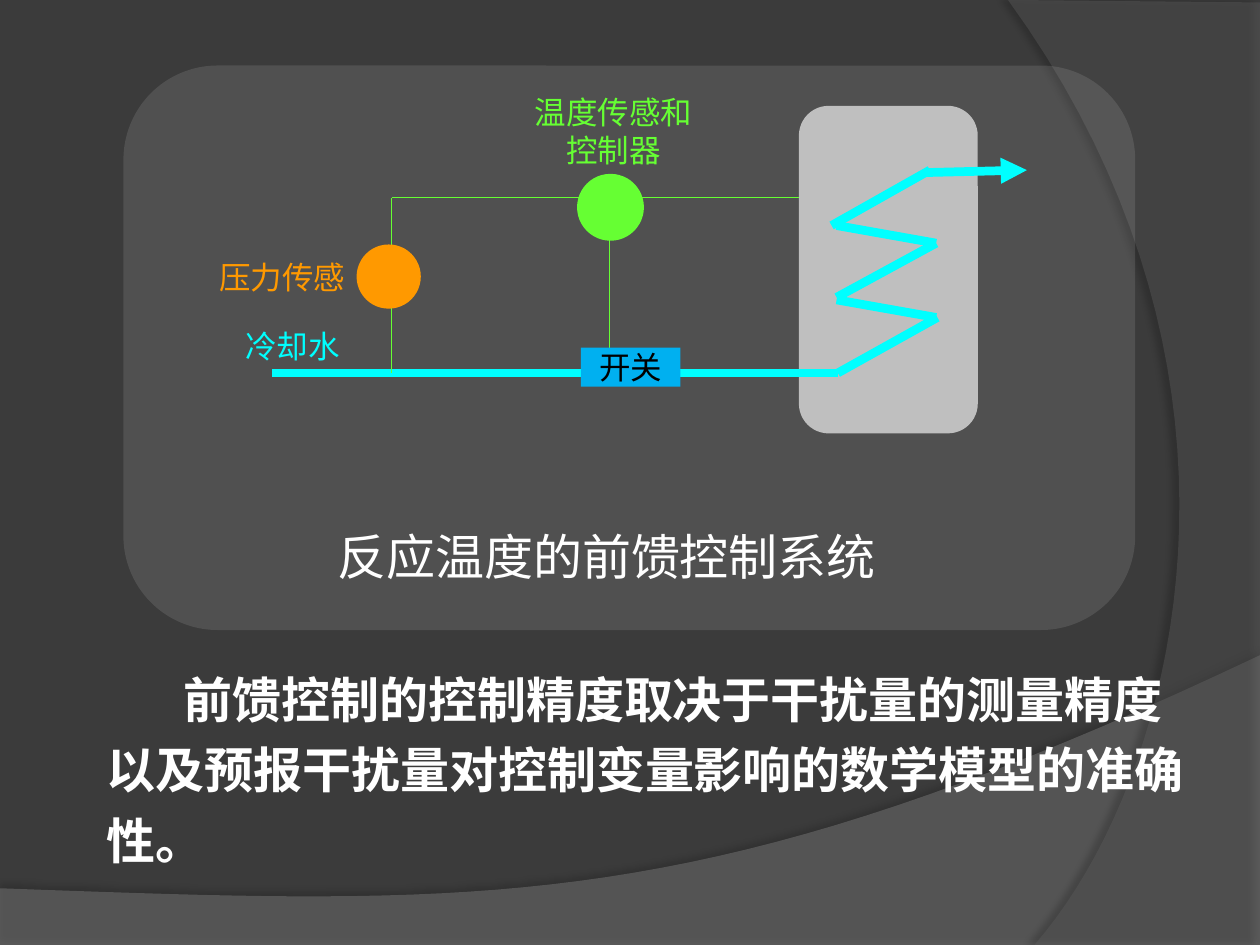
"""Builds the slide on feed-forward control of a reaction temperature."""
from dataclasses import dataclass
from typing import Optional

from lxml import etree
from pptx import Presentation
from pptx.dml.color import RGBColor
from pptx.enum.shapes import MSO_CONNECTOR, MSO_SHAPE
from pptx.enum.text import PP_ALIGN
from pptx.oxml.ns import qn
from pptx.util import Inches, Pt

STRAIGHT = MSO_CONNECTOR.STRAIGHT
RECTANGLE, ROUNDED, OVAL = MSO_SHAPE.RECTANGLE, MSO_SHAPE.ROUNDED_RECTANGLE, MSO_SHAPE.OVAL
LEFT, CENTER = PP_ALIGN.LEFT, PP_ALIGN.CENTER
Point = tuple[float, float]
Box = tuple[float, float, float, float]


@dataclass(frozen=True)
class Theme:
    background: str = "3B3B3B"
    lower_wave: str = "7F7F7F"
    side_wave: str = "5E5E5E"
    vessel: str = "BFBFBF"
    signal: str = "66FF33"
    pressure: str = "FF9900"
    water: str = "00FFFF"
    valve: str = "00B0F0"
    light: str = "FFFFFF"
    dark: str = "000000"
    label_font: str = "Times New Roman"
    body_font: str = "Arial"
    label_size: float = 18
    body_size: float = 28
    pipe_width: float = 5
    signal_width: float = 0.75


@dataclass(frozen=True)
class Part:
    kind: int
    box: Box
    color: str
    opacity: int = 100
    outline: Optional[float] = None


@dataclass(frozen=True)
class Line:
    start: Point
    end: Point
    color: str
    width: float
    arrow: bool = False


@dataclass(frozen=True)
class Wave:
    before: list[Point]
    curve: list[Point]
    color: str
    opacity: int
    shadow_opacity: int
    shadow_distance: float
    shadow_angle: int


THEME = Theme()


def fill_shape(shape, color: str, opacity: int = 100) -> None:
    shape.fill.solid()
    shape.fill.fore_color.rgb = RGBColor.from_string(color)
    if opacity < 100:
        tint = shape._element.spPr.find(qn("a:solidFill"))[0]
        etree.SubElement(tint, qn("a:alpha"), val=str(opacity * 1000))


def bezier(points: list[Point], steps: int = 40) -> list[Point]:
    def at(t: float) -> Point:
        weights = ((1 - t) ** 3, 3 * t * (1 - t) ** 2, 3 * t * t * (1 - t), t ** 3)
        x, y = (sum(w * p[axis] for w, p in zip(weights, points)) for axis in (0, 1))
        return x, y
    return [at(step / steps) for step in range(steps + 1)]


def draw_wave(shapes, wave: Wave) -> None:
    outline = [(Inches(x), Inches(y)) for x, y in wave.before + bezier(wave.curve)]
    builder = shapes.build_freeform(*outline[0], scale=1.0)
    builder.add_line_segments(outline[1:], close=True)
    shape = builder.convert_to_shape()
    fill_shape(shape, wave.color, wave.opacity)
    shape.line.fill.background()
    shape.shadow.inherit = False
    effects = shape._element.spPr.find(qn("a:effectLst"))
    shadow = etree.SubElement(
        effects, qn("a:outerShdw"), blurRad=str(Pt(4)), dist=str(Pt(wave.shadow_distance)),
        dir=str(wave.shadow_angle * 60000), rotWithShape="0")
    tint = etree.SubElement(shadow, qn("a:srgbClr"), val=THEME.dark)
    etree.SubElement(tint, qn("a:alpha"), val=str(wave.shadow_opacity * 1000))


def draw_part(shapes, part: Part) -> None:
    shape = shapes.add_shape(part.kind, *map(Inches, part.box))
    shape.shadow.inherit = False
    fill_shape(shape, part.color, part.opacity)
    if part.outline:
        shape.line.color.rgb = RGBColor.from_string(part.color)
        shape.line.width = Pt(part.outline)
    else:
        shape.line.fill.background()


def draw_line(shapes, line: Line) -> None:
    connector = shapes.add_connector(STRAIGHT, *map(Inches, line.start + line.end))
    connector.line.color.rgb = RGBColor.from_string(line.color)
    connector.line.width = Pt(line.width)
    properties = connector._element.spPr
    if line.arrow:
        etree.SubElement(properties.find(qn("a:ln")), qn("a:tailEnd"), type="triangle")
    etree.SubElement(properties, qn("a:effectLst"))


def draw_text(shapes, text: str, box: Box, color: str, *, size: float = THEME.label_size,
              font: str = THEME.label_font, align: int = LEFT, bold: bool = False,
              spacing: float = 1.0, before: float = 0, indent: float = 0) -> None:
    frame = shapes.add_textbox(*map(Inches, box)).text_frame
    frame.word_wrap = True
    paragraph = frame.paragraphs[0]
    paragraph.alignment = align
    paragraph.line_spacing = spacing
    paragraph.space_before = Pt(before)
    if indent:
        paragraph._p.get_or_add_pPr().set("indent", str(Inches(indent)))
    run = paragraph.add_run()
    run.text = text
    run.font.name = font
    run.font.size = Pt(size)
    run.font.bold = bold
    run.font.color.rgb = RGBColor.from_string(color)


def main() -> None:
    deck = Presentation()
    deck.slide_width, deck.slide_height = Inches(10), Inches(7.5)
    slide = deck.slides.add_slide(deck.slide_layouts[6])
    slide.background.fill.solid()
    slide.background.fill.fore_color.rgb = RGBColor.from_string(THEME.background)
    shapes = slide.shapes

    waves = [
        Wave([(0, 7.05), (0, 7.51), (10, 7.51)], [(10, 5.2), (5.59, 7.29), (3.91, 7.19), (0, 7.05)],
             THEME.lower_wave, 45, 35, 3.5, 270),
        Wave([(10, 0.02), (10, 7.5)], [(8.21, 7.5), (9.35, 6.19), (10.18, 3), (8, 0)],
             THEME.side_wave, 40, 45, 4, 180),
    ]
    for wave in waves:
        draw_wave(shapes, wave)

    signal = (THEME.signal, THEME.signal_width)
    pipe = (THEME.water, THEME.pipe_width)
    coil_rows = [((6.65, 2.96), (7.44, 2.52)), ((6.64, 2.36), (7.43, 1.93)),
                 ((6.6, 1.79), (7.38, 1.35)), ((6.64, 1.79), (7.43, 1.93)),
                 ((6.64, 2.38), (7.43, 2.52))]
    diagram = [
        Part(ROUNDED, (0.98, 0.52, 8.03, 4.48), THEME.vessel, opacity=16),
        Line((4.84, 2.78), (4.84, 1.57), *signal),
        Part(ROUNDED, (6.34, 0.84, 1.42, 2.6), THEME.vessel),
        Line((2.16, 2.96), (6.65, 2.96), *pipe),
        *(Line(start, end, *pipe) for start, end in coil_rows),
        Line((7.34, 1.37), (8.15, 1.35), *pipe, arrow=True),
        Part(RECTANGLE, (4.61, 2.76, 0.79, 0.31), THEME.valve),
        Line((3.11, 2.96), (3.11, 1.57), *signal),
        Line((3.11, 1.57), (6.34, 1.57), *signal),
        Part(OVAL, (4.59, 1.39, 0.51, 0.51), THEME.signal, outline=1.5),
        Part(OVAL, (2.83, 1.94, 0.51, 0.51), THEME.pressure),
    ]
    for item in diagram:
        if isinstance(item, Line):
            draw_line(shapes, item)
        else:
            draw_part(shapes, item)

    draw_text(shapes, "冷却水", (1.85, 2.55, 1.5, 0.4), THEME.water)
    draw_text(shapes, "开关", (4.66, 2.71, 0.73, 0.4), THEME.dark)
    draw_text(shapes, "温度传感和控制器", (4.07, 0.69, 1.6, 0.71), THEME.signal, align=CENTER)
    draw_text(shapes, "压力传感", (1.44, 2, 1.6, 0.4), THEME.pressure, align=CENTER)
    draw_text(shapes, "反应温度的前馈控制系统", (2.58, 4.13, 4.62, 0.57), THEME.light,
              size=THEME.body_size)
    draw_text(shapes, "前馈控制的控制精度取决于干扰量的测量精度以及预报干扰量对控制变量影响的数学模型的准确性。",
              (0.75, 5.17, 8.76, 1.78), THEME.light, size=THEME.body_size,
              font=THEME.body_font, bold=True, spacing=1.2, before=14, indent=0.61)
    deck.save("out.pptx")


if __name__ == "__main__":
    main()
